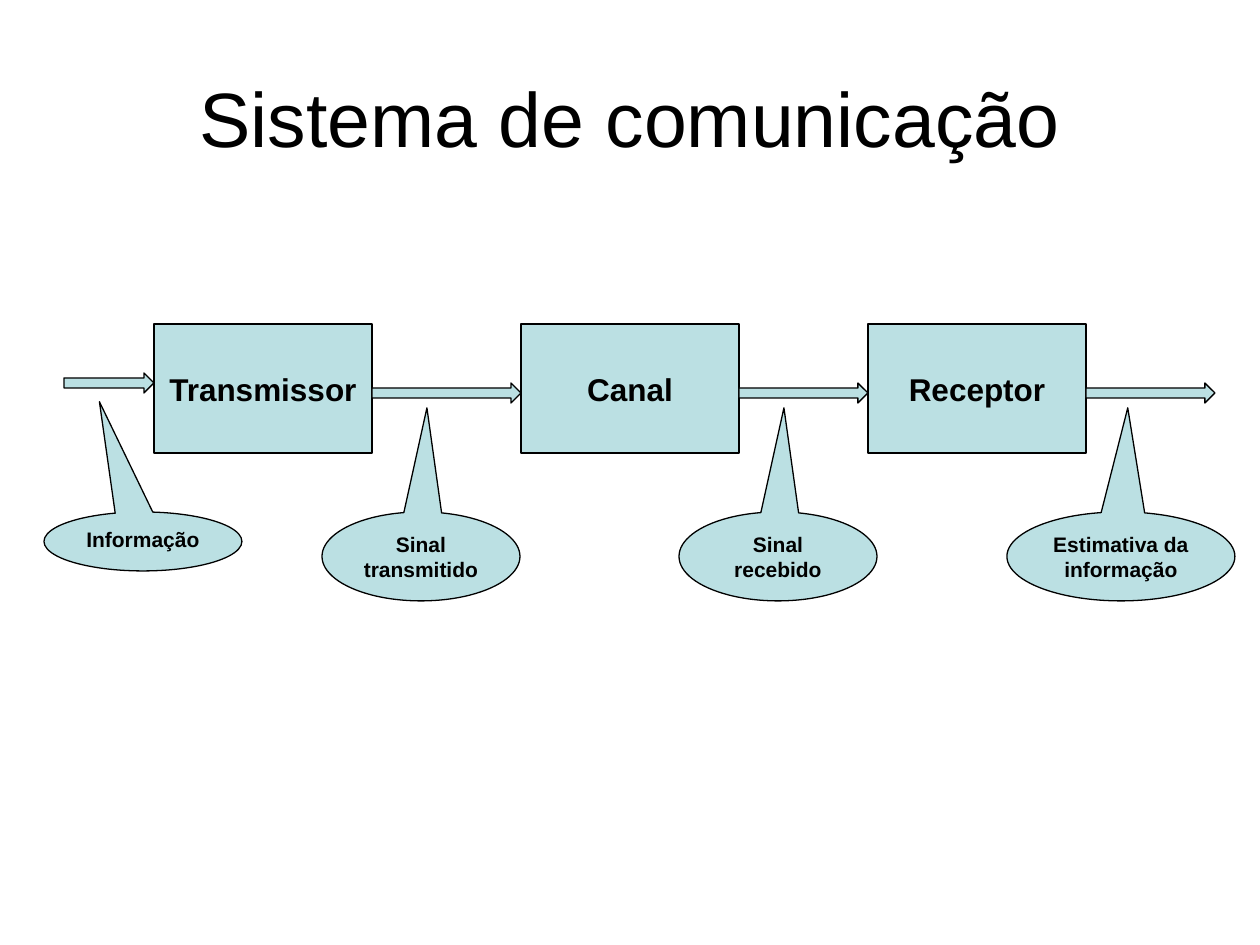
from dataclasses import dataclass

from pptx import Presentation
from pptx.dml.color import RGBColor
from pptx.enum.shapes import MSO_SHAPE
from pptx.enum.text import MSO_ANCHOR, PP_ALIGN
from pptx.shapes.autoshape import Shape
from pptx.slide import Slide
from pptx.util import Emu, Pt

RECTANGLE = MSO_SHAPE.RECTANGLE
ARROW = MSO_SHAPE.RIGHT_ARROW
CALLOUT = MSO_SHAPE.OVAL_CALLOUT
TOP, MIDDLE = MSO_ANCHOR.TOP, MSO_ANCHOR.MIDDLE
CENTER = PP_ALIGN.CENTER

EMU_PER_PX = 914400 / 126


@dataclass(frozen=True)
class Theme:
    font: str = "Arial"
    text: RGBColor = RGBColor(0, 0, 0)
    fill: RGBColor = RGBColor(0xBB, 0xE0, 0xE3)
    line: RGBColor = RGBColor(0, 0, 0)
    line_width: float = 0.75
    title_size: int = 44
    block_size: int = 18
    callout_size: int = 12


@dataclass(frozen=True)
class Box:
    left: int
    top: int
    width: int
    height: int


@dataclass(frozen=True)
class Callout:
    text: str
    box: Box
    pointer: tuple[float, float] = (0.03, -1.67)


THEME = Theme()
TITLE_BOX = Box(63, 38, 1134, 157)

BLOCK_TOP, BLOCK_WIDTH, BLOCK_HEIGHT = 324, 218, 129
BLOCKS = {"Transmissor": 154, "Canal": 521, "Receptor": 868}

ARROW_HEIGHT = 20
INPUT_LEFT, INPUT_TOP = 64, 373
OUTPUT_RIGHT, SIGNAL_TOP = 1215, 383

CALLOUT_TOP = 512
CALLOUTS = [
    Callout("Informação", Box(44, CALLOUT_TOP, 198, 59), (-0.22, -2.37)),
    Callout("Sinal transmitido", Box(322, CALLOUT_TOP, 198, 89)),
    Callout("Sinal recebido", Box(679, CALLOUT_TOP, 198, 89)),
    Callout("Estimativa da informação", Box(1007, CALLOUT_TOP, 228, 89)),
]


def px(length: int) -> Emu:
    return Emu(round(length * EMU_PER_PX))


def place(box: Box) -> tuple[Emu, Emu, Emu, Emu]:
    return px(box.left), px(box.top), px(box.width), px(box.height)


def write_text(shape: Shape, text: str, *, size: int, bold: bool = False,
               anchor: MSO_ANCHOR = MIDDLE, side_margin: int = 12) -> None:
    frame = shape.text_frame
    frame.word_wrap = True
    frame.vertical_anchor = anchor
    frame.margin_left = frame.margin_right = px(side_margin)
    paragraph = frame.paragraphs[0]
    paragraph.alignment = CENTER
    run = paragraph.add_run()
    run.text = text
    run.font.name = THEME.font
    run.font.size = Pt(size)
    run.font.bold = bold
    run.font.color.rgb = THEME.text


def add_outlined_shape(slide: Slide, kind: MSO_SHAPE, box: Box) -> Shape:
    shape = slide.shapes.add_shape(kind, *place(box))
    shape.shadow.inherit = False
    shape.fill.solid()
    shape.fill.fore_color.rgb = THEME.fill
    shape.line.color.rgb = THEME.line
    shape.line.width = Pt(THEME.line_width)
    return shape


def add_blocks(slide: Slide) -> None:
    for text, left in BLOCKS.items():
        box = Box(left, BLOCK_TOP, BLOCK_WIDTH, BLOCK_HEIGHT)
        block = add_outlined_shape(slide, RECTANGLE, box)
        write_text(block, text, size=THEME.block_size, bold=True)


def add_arrows(slide: Slide) -> None:
    """Join the blocks, with one arrow into the first and one out of the last."""
    lefts = list(BLOCKS.values())
    starts = [INPUT_LEFT] + [left + BLOCK_WIDTH for left in lefts]
    ends = lefts + [OUTPUT_RIGHT]
    for index, (start, end) in enumerate(zip(starts, ends)):
        top = SIGNAL_TOP if index else INPUT_TOP
        add_outlined_shape(slide, ARROW, Box(start, top, end - start, ARROW_HEIGHT))


def add_callout(slide: Slide, callout: Callout) -> None:
    shape = add_outlined_shape(slide, CALLOUT, callout.box)
    shape.adjustments[0], shape.adjustments[1] = callout.pointer
    write_text(shape, callout.text, size=THEME.callout_size, bold=True,
               anchor=TOP, side_margin=10)


def main() -> None:
    presentation = Presentation()
    presentation.slide_width, presentation.slide_height = px(1260), px(945)
    slide = presentation.slides.add_slide(presentation.slide_layouts[6])
    title = slide.shapes.add_textbox(*place(TITLE_BOX))
    write_text(title, "Sistema de comunicação", size=THEME.title_size)
    add_blocks(slide)
    add_arrows(slide)
    for callout in CALLOUTS:
        add_callout(slide, callout)
    presentation.save("out.pptx")


if __name__ == "__main__":
    main()
